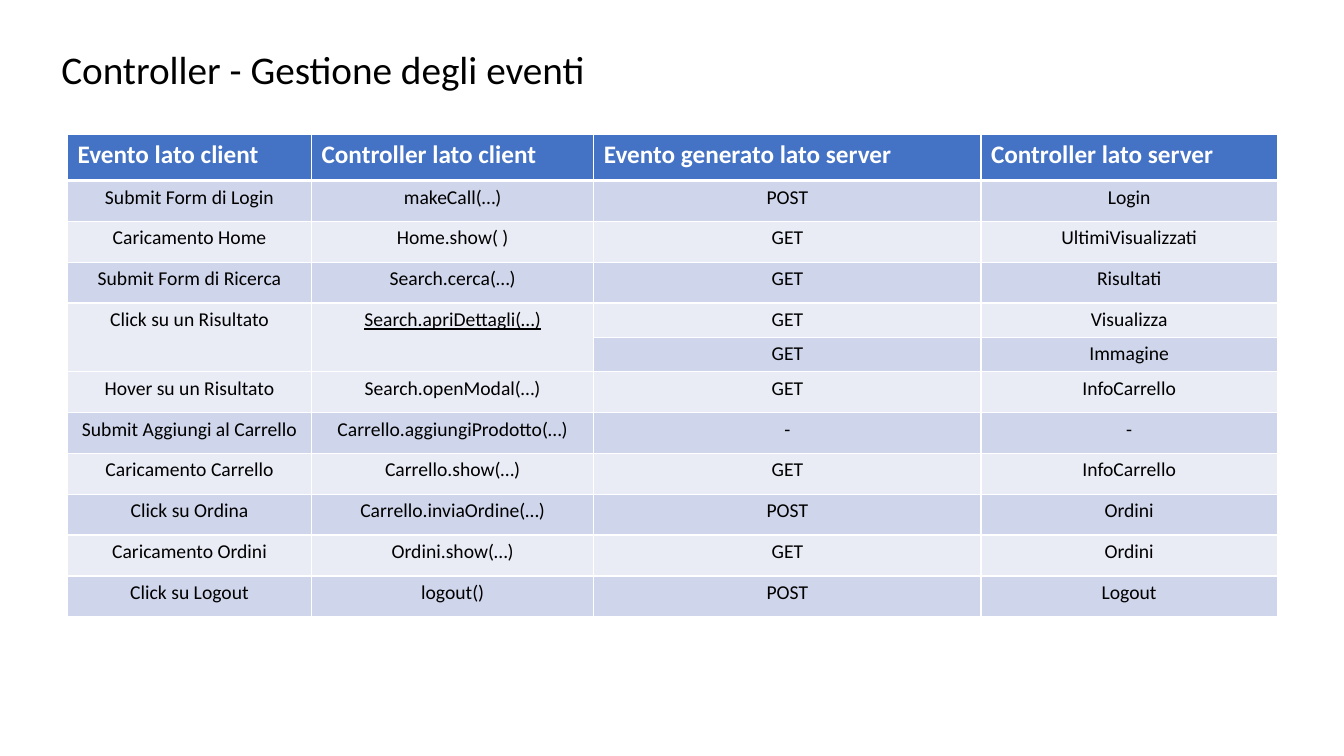
from lxml import etree
from pptx import Presentation
from pptx.dml.color import RGBColor
from pptx.enum.text import MSO_ANCHOR, PP_ALIGN
from pptx.oxml.ns import qn
from pptx.util import Inches, Pt

LEFT, CENTER = PP_ALIGN.LEFT, PP_ALIGN.CENTER
MIDDLE = MSO_ANCHOR.MIDDLE
BLACK = RGBColor(0x00, 0x00, 0x00)
WHITE = RGBColor(0xFF, 0xFF, 0xFF)
BLUE = RGBColor(0x44, 0x72, 0xC4)
DARK = RGBColor(0xCF, 0xD5, 0xEA)
LIGHT = RGBColor(0xE9, 0xEB, 0xF5)

HEADS = ["Evento lato client", "Controller lato client",
         "Evento generato lato server", "Controller lato server"]
EVENTS = [
    ["Submit Form di Login", "makeCall(…)", "POST", "Login"],
    ["Caricamento Home", "Home.show( )", "GET", "UltimiVisualizzati"],
    ["Submit Form di Ricerca", "Search.cerca(…)", "GET", "Risultati"],
    ["Click su un Risultato", "Search.apriDettagli(…)", "GET", "Visualizza"],
    ["", "", "GET", "Immagine"],
    ["Hover su un Risultato", "Search.openModal(…)", "GET", "InfoCarrello"],
    ["Submit Aggiungi al Carrello", "Carrello.aggiungiProdotto(…)", "-", "-"],
    ["Caricamento Carrello", "Carrello.show(…)", "GET", "InfoCarrello"],
    ["Click su Ordina", "Carrello.inviaOrdine(…)", "POST", "Ordini"],
    ["Caricamento Ordini", "Ordini.show(…)", "GET", "Ordini"],
    ["Click su Logout", "logout()", "POST", "Logout"],
]
WIDTHS = [2.42, 2.8, 3.84, 2.94]
SPLIT = 4


def write(frame, text, size=14, color=BLACK, bold=False, align=CENTER,
          under=False, space=1.0):
    par = frame.paragraphs[0]
    par.alignment = align
    par.line_spacing = space
    run = par.add_run()
    run.text = text
    font = run.font
    font.name = "Calibri"
    font.size = Pt(size)
    font.bold = bold
    font.underline = under
    font.color.rgb = color


def edge(cell, side, width):
    line = etree.SubElement(cell._tc.get_or_add_tcPr(), qn("a:" + side), w=str(Pt(width)))
    fill = etree.SubElement(line, qn("a:solidFill"))
    etree.SubElement(fill, qn("a:srgbClr"), val=str(WHITE))


deck = Presentation()
deck.slide_width, deck.slide_height = Inches(13.33), Inches(7.5)
slide = deck.slides.add_slide(deck.slide_layouts[6])

title = slide.shapes.add_textbox(Inches(0.51), Inches(0.4), Inches(11.5), Inches(0.62)).text_frame
title.word_wrap = True
title.vertical_anchor = MIDDLE
write(title, "Controller - Gestione degli eventi", size=28, align=LEFT, space=0.9)

rows = [HEADS] + EVENTS
table = slide.shapes.add_table(len(rows), len(HEADS), Inches(0.67), Inches(1.33),
                               Inches(11.99), Inches(4.77)).table
for col, width in zip(table.columns, WIDTHS):
    col.width = Inches(width)
for r, row in enumerate(table.rows):
    row.height = Inches(0.46 if r == 0 else 0.34 if r in (SPLIT, SPLIT + 1) else 3.65 / 9)

for c in range(2):
    table.cell(SPLIT, c).merge(table.cell(SPLIT + 1, c))

for r, texts in enumerate(rows):
    head = r == 0
    for c, text in enumerate(texts):
        cell = table.cell(r, c)
        for side in ("lnL", "lnR", "lnT", "lnB"):
            thick = head and side == "lnB" or r == 1 and side == "lnT"
            edge(cell, side, 3 if thick else 1)
        cell.fill.solid()
        cell.fill.fore_color.rgb = BLUE if head else DARK if r % 2 else LIGHT
        if head:
            write(cell.text_frame, text, size=18, color=WHITE, bold=True, align=LEFT)
        elif text:
            write(cell.text_frame, text, under=(r, c) == (SPLIT, 1))

deck.save("out.pptx")
